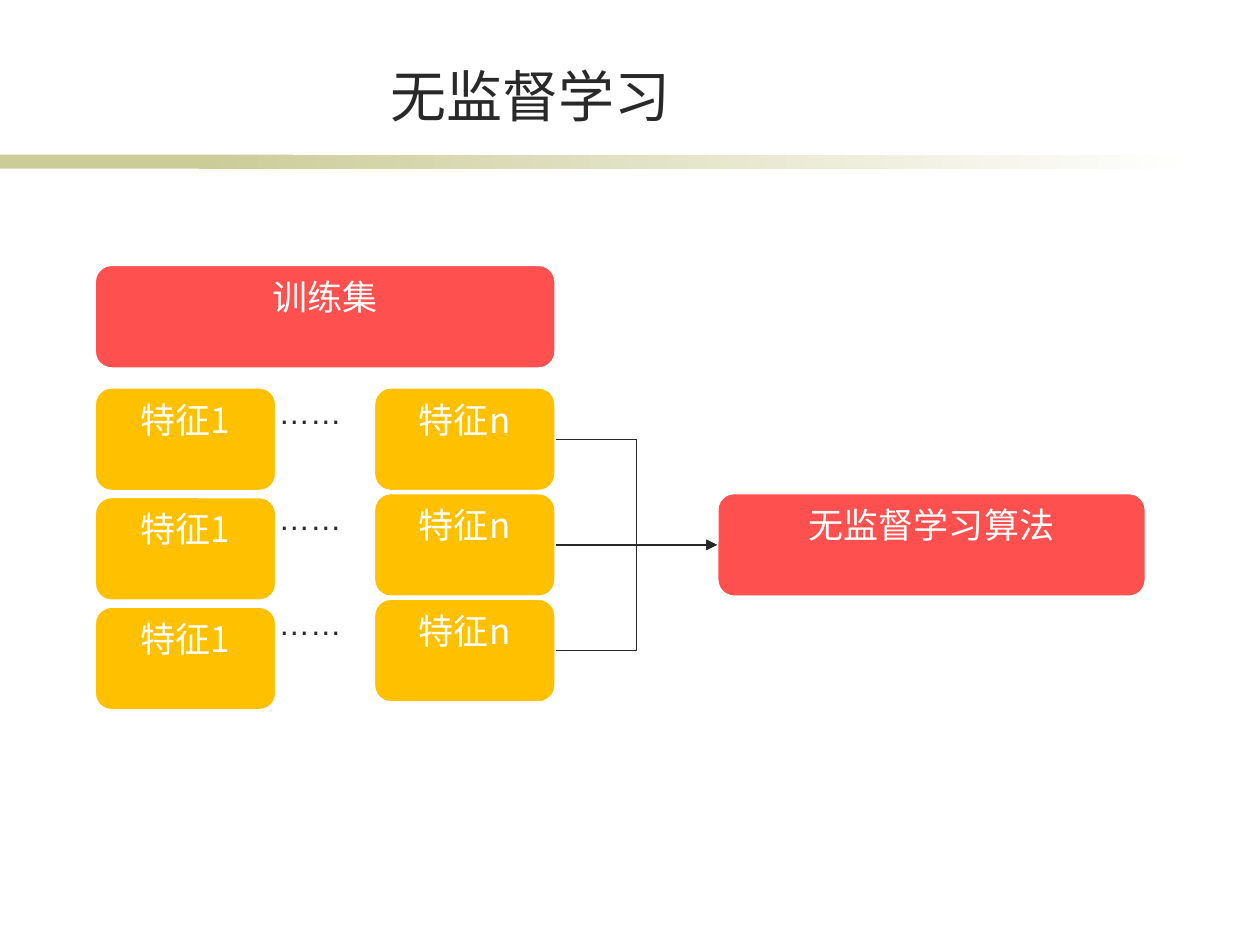
from dataclasses import dataclass

from lxml.etree import SubElement
from pptx import Presentation
from pptx.dml.color import RGBColor
from pptx.enum.shapes import MSO_CONNECTOR, MSO_SHAPE
from pptx.enum.text import MSO_ANCHOR, PP_ALIGN
from pptx.oxml.ns import qn
from pptx.util import Cm, Pt


@dataclass(frozen=True)
class Theme:
    red: RGBColor = RGBColor(0xFF, 0x50, 0x50)
    amber: RGBColor = RGBColor(0xFF, 0xC0, 0x00)
    olive: RGBColor = RGBColor(0xCC, 0xCC, 0x99)
    white: RGBColor = RGBColor(0xFF, 0xFF, 0xFF)
    ink: RGBColor = RGBColor(0x29, 0x29, 0x29)
    wire: RGBColor = RGBColor(0x28, 0x28, 0x28)
    latin: str = "Arial"
    cjk: str = "Noto Sans CJK SC"
    title_size: Pt = Pt(32)
    box_size: Pt = Pt(20)
    dots_size: Pt = Pt(18)


THEME = Theme()

# Content
TITLE = "无监督学习"
TRAINING_SET = "训练集"
ALGORITHM = "无监督学习算法"
SAMPLES = [("特征1", "……", "特征n")] * 3

# Layout in centimetres
BOX_HEIGHT = 2.11
FEATURE_WIDTH = 3.68
LEFT = 1.9
RIGHT_EDGE = 11.21
ROWS_TOP = 7.8
FIRST_PITCH, LAST_PITCH = 2.21, 2.13
ALGORITHM_LEFT, ALGORITHM_WIDTH = 14.45, 8.66
DOTS_LEFT, DOTS_WIDTH, DOTS_HEIGHT = 5.37, 2.26, 1.75
BAR_TOP, BAR_HEIGHT = 3.12, 0.28


def write(shape, text, font_name, size, color, align, anchor=MSO_ANCHOR.TOP):
    frame = shape.text_frame
    frame.word_wrap = True
    frame.vertical_anchor = anchor
    para = frame.paragraphs[0]
    para.text = text
    para.alignment = align
    para.font.name = font_name
    para.font.size = size
    para.font.color.rgb = color
    # East Asian typeface for the Chinese glyphs
    defaults = para._p.get_or_add_pPr().get_or_add_defRPr()
    SubElement(defaults, qn("a:ea"), typeface=THEME.cjk)


def add_bar(page, left, width):
    bar = page.shapes.add_shape(
        MSO_SHAPE.RECTANGLE, Cm(left), Cm(BAR_TOP), Cm(width), Cm(BAR_HEIGHT))
    bar.shadow.inherit = False
    bar.line.fill.background()
    return bar


def add_box(page, text, left, top, width, color):
    box = page.shapes.add_shape(
        MSO_SHAPE.ROUNDED_RECTANGLE, Cm(left), Cm(top), Cm(width), Cm(BOX_HEIGHT))
    box.shadow.inherit = False
    box.fill.solid()
    box.fill.fore_color.rgb = color
    box.line.color.rgb = THEME.white
    box.line.width = Pt(2)
    write(box, text, THEME.cjk, THEME.box_size, THEME.white, PP_ALIGN.CENTER)
    return box


def add_arrow(page, source, target):
    arrow = page.shapes.add_connector(MSO_CONNECTOR.ELBOW, 0, 0, 0, 0)
    arrow.begin_connect(source, 3)
    arrow.end_connect(target, 1)
    arrow.line.color.rgb = THEME.wire
    arrow.line.width = Pt(0.75)
    SubElement(arrow.line._get_or_add_ln(), qn("a:tailEnd"), type="triangle")
    SubElement(arrow._element.spPr, qn("a:effectLst"))


def main():
    deck = Presentation()
    deck.slide_width, deck.slide_height = Cm(25.4), Cm(19.05)
    page = deck.slides.add_slide(deck.slide_layouts[5])

    # Rule under the title: solid start, then a fade to white
    solid = add_bar(page, 0, 5.92)
    solid.fill.solid()
    solid.fill.fore_color.rgb = THEME.olive
    fade = add_bar(page, 4.01, 20.12)
    fade.fill.gradient()
    fade.fill.gradient_angle = 0
    for stop, color in zip(fade.fill.gradient_stops, (THEME.olive, THEME.white)):
        stop.color.rgb = color

    # Title
    title = page.shapes.title
    title.left, title.top, title.width, title.height = (
        Cm(2.9), Cm(1.12), Cm(15.6), Cm(1.6))
    write(title, TITLE, THEME.latin, THEME.title_size, THEME.ink,
          PP_ALIGN.CENTER, MSO_ANCHOR.BOTTOM)

    # Training set and algorithm
    add_box(page, TRAINING_SET, LEFT, 5.33, RIGHT_EDGE - LEFT, THEME.red)
    algorithm = add_box(page, ALGORITHM, ALGORITHM_LEFT, ROWS_TOP + LAST_PITCH,
                        ALGORITHM_WIDTH, THEME.red)

    # One row of features per sample, each feeding the algorithm
    for row, (first, dots, last) in enumerate(SAMPLES):
        last_top = ROWS_TOP + row * LAST_PITCH
        add_box(page, first, LEFT, ROWS_TOP + row * FIRST_PITCH,
                FEATURE_WIDTH, THEME.amber)
        last_box = add_box(page, last, RIGHT_EDGE - FEATURE_WIDTH, last_top,
                           FEATURE_WIDTH, THEME.amber)
        gap = page.shapes.add_textbox(
            Cm(DOTS_LEFT), Cm(last_top), Cm(DOTS_WIDTH), Cm(DOTS_HEIGHT))
        write(gap, dots, THEME.latin, THEME.dots_size, THEME.ink, PP_ALIGN.LEFT)
        add_arrow(page, last_box, algorithm)

    deck.save("out.pptx")


if __name__ == "__main__":
    main()
